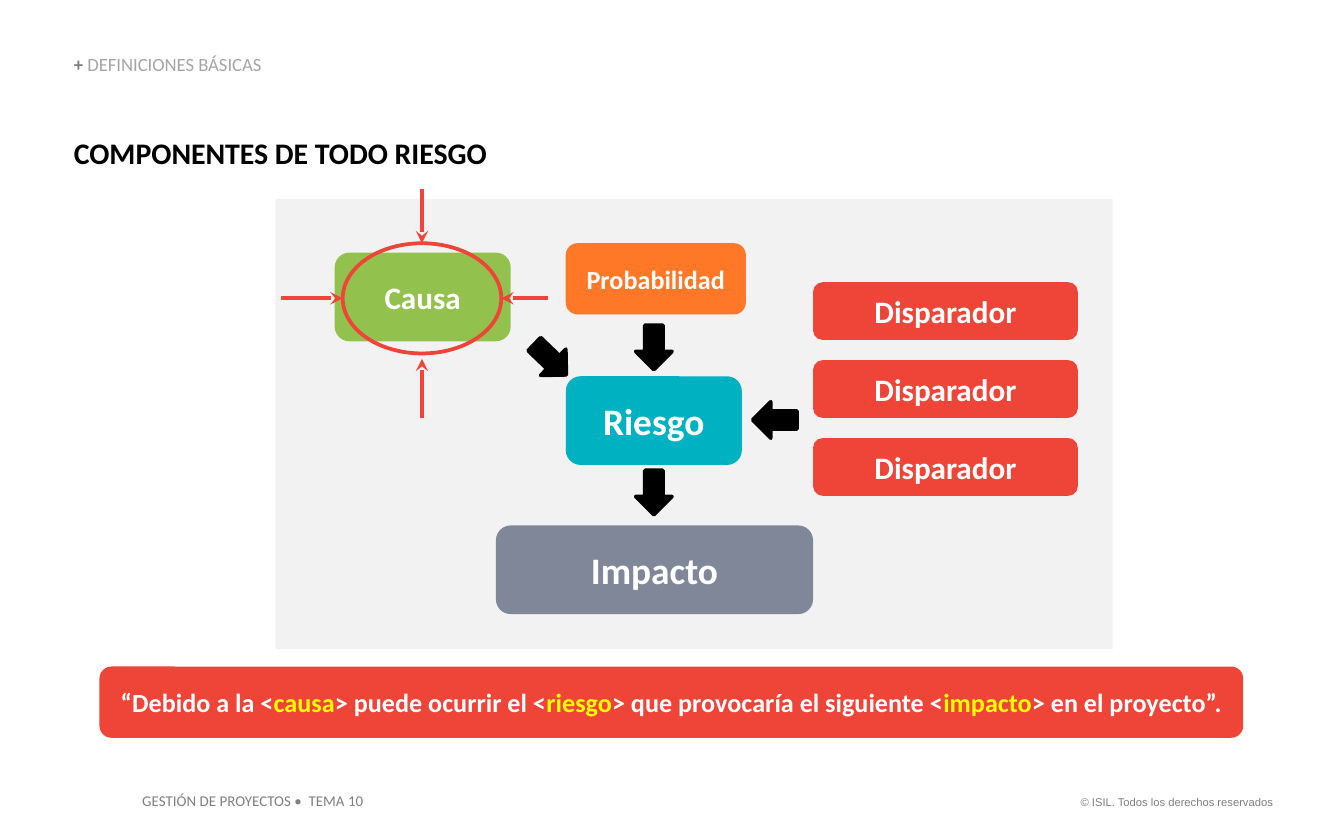
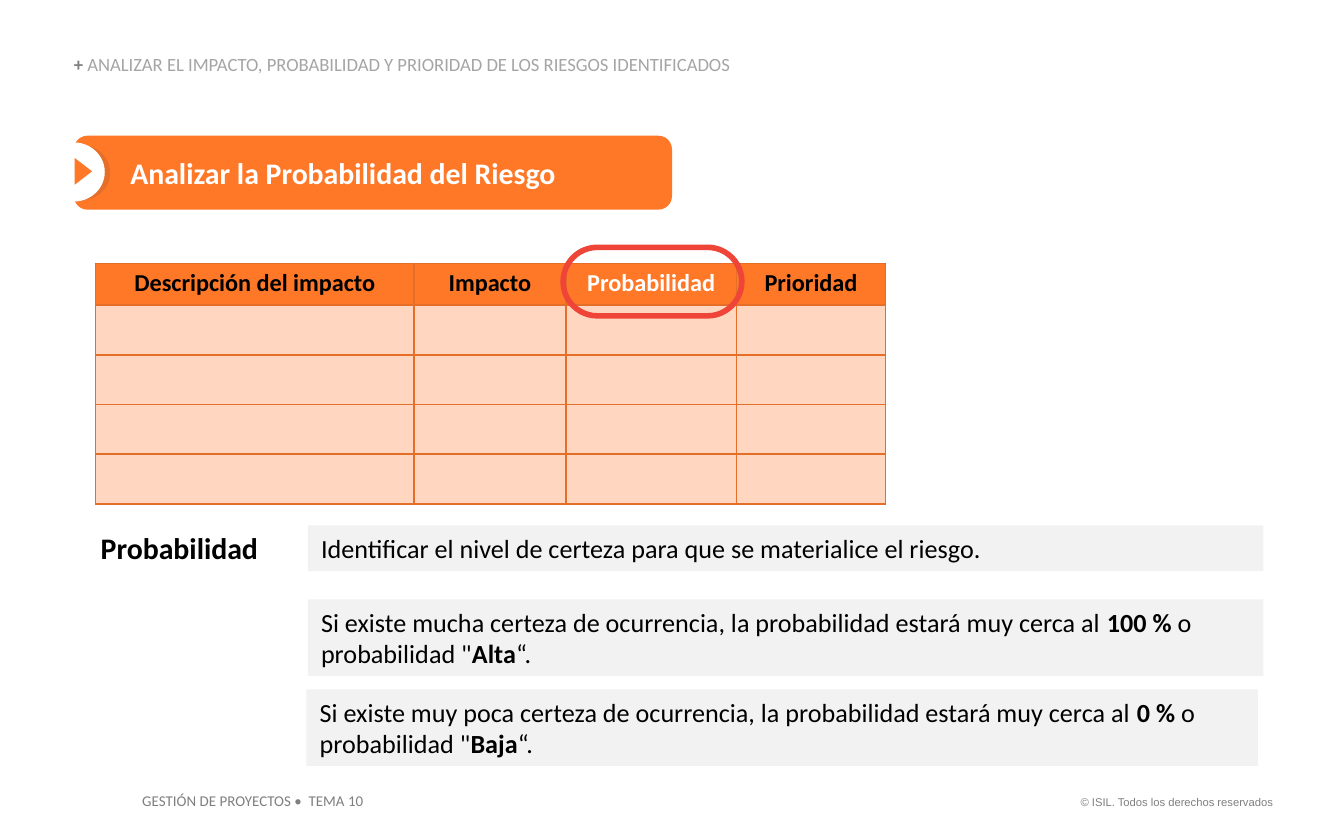
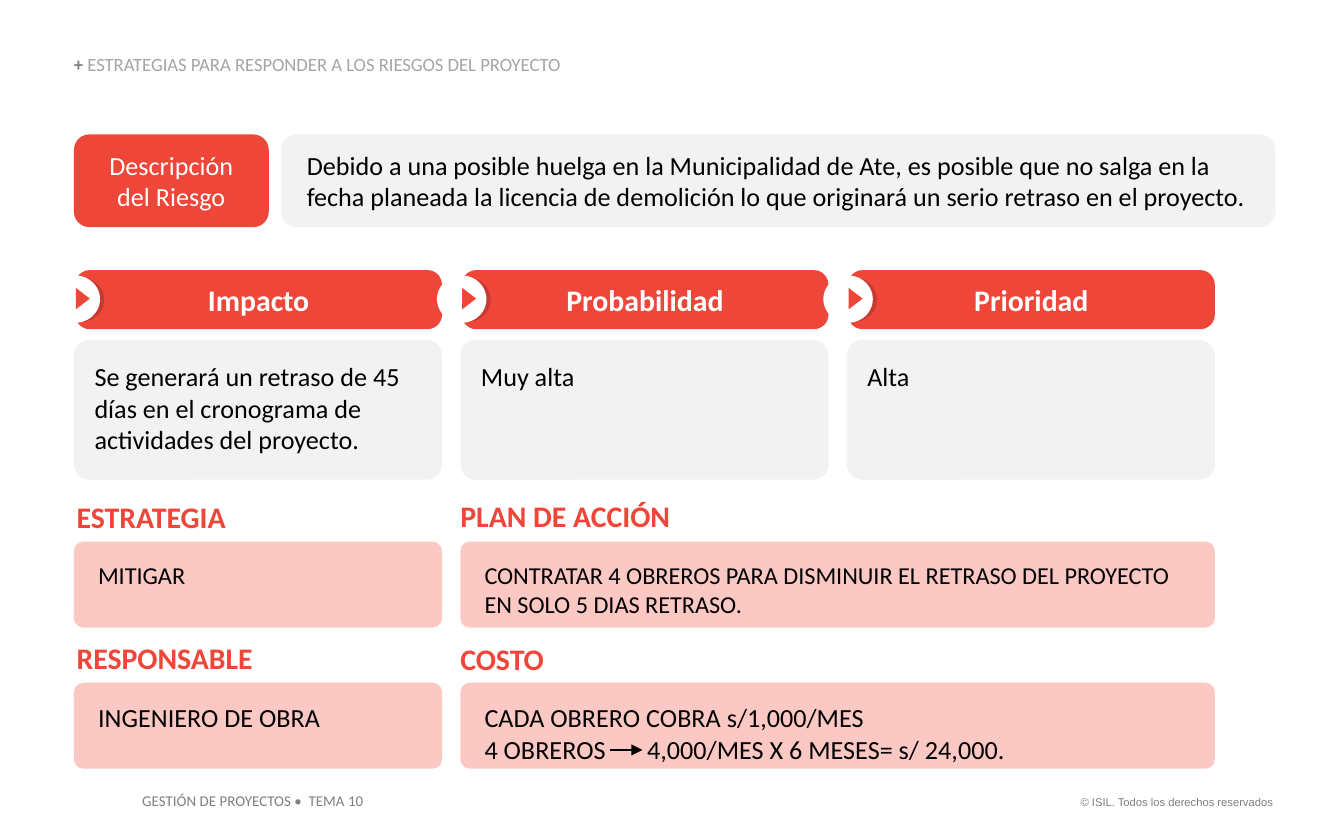
from dataclasses import dataclass

from lxml import etree
from pptx import Presentation
from pptx import util as u
from pptx.dml.color import RGBColor
from pptx.enum import shapes as sh, text as tx
from pptx.oxml import ns

COLS, ROWS = 100, 62.5  # slide grid, square cells
CELL = u.Inches(0.1)
KIND = sh.MSO_SHAPE
MID, LOW = tx.MSO_ANCHOR.MIDDLE, tx.MSO_ANCHOR.BOTTOM
MIDDLE, RIGHT = tx.PP_ALIGN.CENTER, tx.PP_ALIGN.RIGHT


@dataclass(frozen=True)
class Theme:
    font: str = "Calibri"
    legal: str = "Arial"
    black: str = "000000"
    white: str = "FFFFFF"
    gray: str = "7F7F7F"
    pale: str = "A5A5A5"
    panel: str = "F2F2F2"
    red: str = "EF4539"
    coral: str = "EE4639"
    brick: str = "C73A31"
    pink: str = "FBC8C4"
    orange: str = "FE7828"
    rust: str = "E56E29"
    peach: str = "FFD7C1"
    teal: str = "00B1C2"
    green: str = "92C14E"
    slate: str = "808799"
    yellow: str = "FFFF00"
    tiny: float = 6
    small: float = 8
    topic: float = 10
    cell: float = 13
    body: float = 14
    head: float = 16
    node: float = 16.7
    large: float = 20


T = Theme()


@dataclass(frozen=True)
class Box:
    """A region in grid cells."""
    x: float
    y: float
    w: float
    h: float

    def sub(self, x, y, w, h):
        return Box(self.x + x, self.y + y, w, h)

    def size(self):
        return [round(v * CELL) for v in (self.x, self.y, self.w, self.h)]


def rgb(code):
    return RGBColor.from_string(code)


def add(node, tag, **attrs):
    return etree.SubElement(node, ns.qn(tag), attrs)


# Basic parts

def write(frame, copy, size, color=T.black, bold=False, align=None, font=T.font,
          mark=None, space=None, tab=None):
    """Fill a text frame; pieces between asterisks are marked."""
    for i, line in enumerate(copy.split("\n")):
        para = frame.paragraphs[0] if i == 0 else frame.add_paragraph()
        if tab and "\t" in line:
            stops = add(para._p.get_or_add_pPr(), "a:tabLst")
            add(stops, "a:tab", pos=str(u.Inches(tab)), algn="l")
        para.alignment = align
        if space:
            para.line_spacing = space
        face = para.font
        face.name, face.size, face.bold = font, u.Pt(size), bold
        face.color.rgb = rgb(color)
        for j, piece in enumerate(line.split("*")):
            if piece:
                run = para.add_run()
                run.text = piece
                if j % 2:
                    run.font.bold = True
                    run.font.color.rgb = rgb(mark or color)


def setup(frame, inset, anchor):
    frame.word_wrap = True
    frame.vertical_anchor = anchor or tx.MSO_ANCHOR.TOP
    (frame.margin_left, frame.margin_top,
     frame.margin_right, frame.margin_bottom) = map(u.Inches, inset)


def label(slide, box, copy, size, inset=(0, 0, 0, 0), anchor=None, **style):
    frame = slide.shapes.add_textbox(*box.size()).text_frame
    setup(frame, inset, anchor)
    write(frame, copy, size, **style)


def draw(slide, kind, box, fill=None, line=None, width=2, turn=0, round_by=None):
    item = slide.shapes.add_shape(kind, *box.size())
    item.shadow.inherit = False
    item.rotation = turn
    if round_by is not None:
        item.adjustments[0] = round_by
    if fill:
        item.fill.solid()
        item.fill.fore_color.rgb = rgb(fill)
    else:
        item.fill.background()
    if line:
        item.line.color.rgb = rgb(line)
        item.line.width = u.Pt(width)
    else:
        item.line.fill.background()
    return item


def card(slide, box, fill, copy, size, kind=KIND.ROUNDED_RECTANGLE, round_by=None,
         inset=(0.1, 0.05, 0.1, 0.05), anchor=None, **style):
    """A filled shape that holds text."""
    item = draw(slide, kind, box, fill, round_by=round_by)
    setup(item.text_frame, inset, anchor)
    style.setdefault("align", tx.PP_ALIGN.LEFT)
    write(item.text_frame, copy, size, **style)


def node(slide, box, fill, copy, size, bold=True, **style):
    card(slide, box, fill, copy, size, round_by=0.167, anchor=MID,
         color=T.white, bold=bold, align=MIDDLE, **style)


def arrow(slide, box, start, end, color, width, tip):
    ends = [round(v * CELL) for v in (box.x + start[0], box.y + start[1],
                                      box.x + end[0], box.y + end[1])]
    link = slide.shapes.add_connector(sh.MSO_CONNECTOR.STRAIGHT, *ends)
    link.line.color.rgb = rgb(color)
    link.line.width = u.Pt(width)
    props = link._element.spPr
    add(props.find(ns.qn("a:ln")), "a:tailEnd", type=tip)
    add(props, "a:effectLst")


def band(slide, box, fill, shade, copy, **style):
    """A heading bar with a round play badge on its left end."""
    card(slide, box, fill, copy, T.head, anchor=MID, color=T.white, bold=True, **style)
    unit = box.h / 5.5
    badge = [(KIND.OVAL, (-1.6, 0.7, 4.3, 4.1), shade, 0),
             (KIND.OVAL, (-2.3, 0.5, 4.6, 4.4), T.white, 0),
             (KIND.ISOSCELES_TRIANGLE, (-0.3, 2, 2, 1.3), fill, 90)]
    for kind, spot, color, turn in badge:
        draw(slide, kind, box.sub(*(v * unit for v in spot)), color, turn=turn)


def frame(deck, topic):
    """A blank slide with the shared topic line and footers."""
    slide = deck.slides.add_slide(deck.slide_layouts[6])
    page = Box(0, 0, COLS, ROWS)
    pad = (0.1, 0.05, 0.1, 0.05)
    label(slide, page.sub(79.1, 58.7, 16.6, 2), "© ISIL. Todos los derechos reservados",
          T.tiny, pad, color=T.gray, font=T.legal, align=RIGHT)
    label(slide, page.sub(9.6, 58.4, 18.5, 2.4), "GESTIÓN DE PROYECTOS •  TEMA 10",
          T.small, pad, color=T.gray)
    label(slide, page.sub(5.5, 4.1, 51.9, 1.5), "*+ *" + topic, T.topic,
          anchor=LOW, color=T.pale, mark=T.gray, space=0.9)
    return slide


# Slide 1: parts of a risk

def scheme(slide, box):
    draw(slide, KIND.RECTANGLE, box, T.panel)
    nodes = [((21.6, 13.2, 13.1, 6.6), T.teal, "Riesgo", T.large),
             ((4.4, 4, 13.1, 6.6), T.green, "Causa", T.node),
             ((21.6, 3.3, 13.4, 5.3), T.orange, "Probabilidad", T.body),
             ((16.4, 24.3, 23.6, 6.6), T.slate, "Impacto", T.large)]
    nodes += [((40, 6.2 + 5.8 * i, 19.7, 4.3), T.red, "Disparador", T.node)
              for i in range(3)]
    for spot, fill, copy, size in nodes:
        node(slide, box.sub(*spot), fill, copy, size)
    # Block arrows
    for x, y, turn in [(18.8, 10.6, 43.8), (26.5, 9.7, 90),
                       (26.5, 20.5, 90), (35.5, 15.1, 180)]:
        draw(slide, KIND.RIGHT_ARROW, box.sub(x, y, 3.3, 2.7), T.black, T.black, turn=turn)
    # Focus on the cause
    draw(slide, KIND.OVAL, box.sub(5, 3.3, 11.8, 8.2), line=T.red)
    for start, end in [((10.9, -0.7), (10.9, 3.3)), ((0.4, 7.4), (5, 7.4)),
                       ((10.9, 16.3), (10.9, 11.9)), ((20.3, 7.4), (16.8, 7.4))]:
        arrow(slide, box, start, end, T.red, 2.25, "stealth")


def basics(deck):
    slide = frame(deck, "DEFINICIONES BÁSICAS")
    label(slide, Box(5.5, 10, 45.7, 2.7), "COMPONENTES DE TODO RIESGO", T.head, bold=True)
    scheme(slide, Box(20.5, 14.8, 62.3, 33.5))
    node(slide, Box(7.4, 49.6, 85.1, 5.3), T.red,
         "“Debido a la <*causa*> puede ocurrir el <*riesgo*> que provocaría "
         "el siguiente <*impacto*> en el proyecto”.", T.body, mark=T.yellow)


# Slide 2: probability

def edge(cell):
    props = cell._tc.get_or_add_tcPr()
    for i, side in enumerate(("a:lnL", "a:lnR", "a:lnT", "a:lnB")):
        line = etree.Element(ns.qn(side), w=str(u.Pt(1)))
        add(add(line, "a:solidFill"), "a:srgbClr", val=T.rust)
        props.insert(i, line)


def grid(slide, box):
    heads = ["Descripción del impacto", "Impacto", "Probabilidad", "Prioridad"]
    wide = [23.7, 11.3, 12.7, 11.1]
    high = [3.1] + [3.7] * 4
    table = slide.shapes.add_table(len(high), len(wide), *box.size()).table
    table.horz_banding = False
    for col, width in zip(table.columns, wide):
        col.width = round(width * CELL)
    for r, height in enumerate(high):
        table.rows[r].height = round(height * CELL)
        for c, head in enumerate(heads):
            cell = table.cell(r, c)
            cell.margin_left = cell.margin_right = u.Inches(0.07)
            cell.margin_top = cell.margin_bottom = u.Inches(0.04)
            cell.fill.solid()
            cell.fill.fore_color.rgb = rgb(T.peach if r else T.orange)
            edge(cell)
            write(cell.text_frame, "" if r else head, T.cell, bold=True, align=MIDDLE,
                  color=T.white if head == "Probabilidad" else T.black)
    # Ring around the probability heading
    draw(slide, KIND.ROUNDED_RECTANGLE, box.sub(34.8, -1.2, 13.3, 5.1),
         line=T.red, width=3, round_by=0.5)


def notes(slide, box):
    label(slide, box.sub(0, 0.3, 15, 2.7), "Probabilidad", T.head, bold=True)
    level = ("Si existe {} certeza de ocurrencia, la probabilidad estará muy cerca "
             "al *{} %* o probabilidad \"*{}*“.")
    rows = [((15.4, 0, 71.1, 3.4),
             "Identificar el nivel de certeza para que se materialice el riesgo."),
            ((15.4, 5.5, 71.1, 5.7), level.format("mucha", 100, "Alta")),
            ((15.3, 12.2, 70.8, 5.7), level.format("muy poca", 0, "Baja"))]
    for spot, copy in rows:
        card(slide, box.sub(*spot), T.panel, copy, T.body, kind=KIND.RECTANGLE)


def chance(deck):
    slide = frame(deck, "ANALIZAR EL IMPACTO, PROBABILIDAD Y PRIORIDAD "
                        "DE LOS RIESGOS IDENTIFICADOS")
    band(slide, Box(5.5, 10.1, 44.5, 5.5), T.orange, T.rust,
         "Analizar la Probabilidad del Riesgo", round_by=0.183,
         inset=(0.39, 0.05, 0.1, 0.05))
    grid(slide, Box(7.1, 19.6, 58.8, 17.9))
    notes(slide, Box(7.5, 39.1, 86.5, 17.9))


# Slide 3: response plan

STEP, WIDE = 28.75, 27.4  # column pitch and width


def risk(slide, box):
    node(slide, box.sub(0, 0, 14.5, box.h), T.coral, "Descripción del Riesgo",
         T.body, bold=False)
    card(slide, box.sub(15.4, 0, 74, box.h), T.panel,
         "Debido a una posible huelga en la Municipalidad de Ate, es posible que no "
         "salga en la fecha planeada la licencia de demolición lo que originará un "
         "serio retraso en el proyecto.", T.body, round_by=0.167, anchor=MID,
         inset=(0.16, 0.05, 0.16, 0.05))


def rating(slide, box):
    pairs = [("Impacto", "Se generará un retraso de 45 días en el cronograma de "
                         "actividades del proyecto."),
             ("Probabilidad", "Muy alta"), ("Prioridad", "Alta")]
    for i, (head, copy) in enumerate(pairs):
        col = box.sub(i * STEP, 0, WIDE, box.h)
        band(slide, col.sub(0.1, 0, WIDE - 0.1, 4.4), T.coral, T.brick, head,
             round_by=0.248, align=MIDDLE)
        card(slide, col.sub(0, 5.2, WIDE, 10.4), T.panel, copy, T.body,
             round_by=0.111, inset=(0.12, 0.12, 0.08, 0.05))


def plan(slide, box):
    full = STEP + WIDE
    items = [(0, 0, WIDE, 0.1, "ESTRATEGIA", "MITIGAR", T.cell),
             (STEP, 0, full, 0, "PLAN DE ACCIÓN",
              "CONTRATAR 4 OBREROS PARA DISMINUIR EL RETRASO DEL PROYECTO "
              "EN SOLO 5 DIAS RETRASO.", T.cell),
             (0, 10.5, WIDE, 0.1, "RESPONSABLE", "INGENIERO DE OBRA", T.body),
             (STEP, 10.5, full, 0.2, "COSTO",
              "CADA OBRERO COBRA s/1,000/MES\n"
              "4 OBREROS\t4,000/MES X 6 MESES= s/ 24,000.", T.body)]
    for x, y, width, drop, head, copy, size in items:
        label(slide, box.sub(x or 0.2, y + drop, 24.2, 2.7), head, T.head,
              color=T.coral, bold=True)
        card(slide, box.sub(x, y + 3.3, width, 6.4), T.pink, copy, size,
             round_by=0.111, inset=(0.16, 0.12, 0.16, 0.05), tab=1.21)
    arrow(slide, box, (39.9, 18.8), (42.3, 18.8), T.black, 1, "triangle")


def answer(deck):
    slide = frame(deck, "ESTRATEGIAS PARA RESPONDER A LOS RIESGOS DEL PROYECTO")
    risk(slide, Box(5.5, 10, 89.4, 6.9))
    rating(slide, Box(5.5, 20.1, 84.9, 15.6))
    plan(slide, Box(5.5, 37, 84.9, 20.2))


def main():
    deck = Presentation()
    deck.slide_width = round(COLS * CELL)
    deck.slide_height = round(ROWS * CELL)
    for build in (basics, chance, answer):
        build(deck)
    deck.save("out.pptx")


if __name__ == "__main__":
    main()
